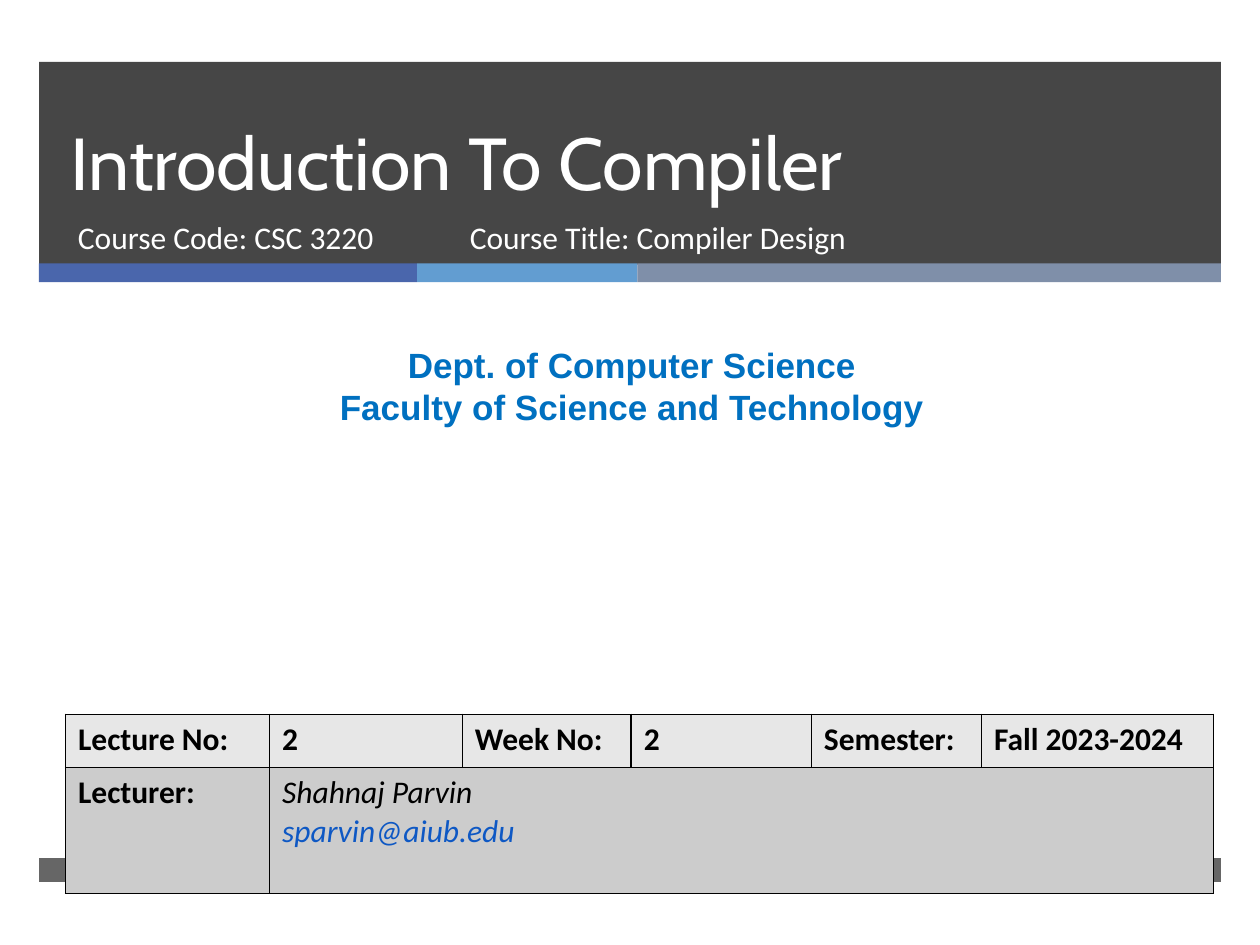
from lxml.etree import SubElement
from pptx import Presentation
from pptx.dml.color import RGBColor
from pptx.enum.shapes import MSO_SHAPE as Shape
from pptx.enum.text import MSO_ANCHOR as Anchor, MSO_AUTO_SIZE as AutoSize, PP_ALIGN as Align
from pptx.oxml.ns import qn
from pptx.util import Inches, Pt

WHITE = RGBColor(0xFF, 0xFF, 0xFF)
BLACK = RGBColor(0, 0, 0)
CHARCOAL = RGBColor(0x26, 0x26, 0x26)
INDIGO = RGBColor(0x4A, 0x66, 0xAC)
SKY = RGBColor(0x62, 0x9D, 0xD1)
SLATE = RGBColor(0x7F, 0x8F, 0xA9)
HEADING_BLUE = RGBColor(0x00, 0x70, 0xC0)
LINK_BLUE = RGBColor(0x0E, 0x58, 0xC4)
LIGHT_GREY = RGBColor(0xE7, 0xE7, 0xE7)
MID_GREY = RGBColor(0xCC, 0xCC, 0xCC)

TITLE = "Introduction To Compiler"
COURSE_CODE = "Course Code: CSC 3220"
COURSE_TITLE = "Course Title: Compiler Design"
DEPARTMENT = ["Dept. of Computer Science", "Faculty of Science and Technology"]
LECTURE_ROW = ["Lecture No:", "2", "Week No:", "2", "Semester:", "Fall 2023-2024"]
LECTURER_LABEL = "Lecturer:"
LECTURER, EMAIL = "Shahnaj Parvin", "sparvin@aiub.edu"

BAND_LEFT, BAND_WIDTH = 0.31, 9.38
STRIPES = [(3, INDIGO), (1.75, SKY), (4.63, SLATE)]
COLUMN_WIDTHS = [1.62, 1.53, 1.34, 1.43, 1.35, 1.84]
ROW_HEIGHTS = [0.42, 1]


def write(frame, lines, *, size=18, font="Calibri", color=WHITE, bold=False,
          italic=False, align=Align.LEFT):
    """Fill the frame with one paragraph per line, all in one format."""
    for index, line in enumerate(lines):
        paragraph = frame.add_paragraph() if index else frame.paragraphs[0]
        paragraph.alignment = align
        run = paragraph.add_run()
        run.text = line
        run.font.size = Pt(size)
        run.font.name = font
        run.font.bold = bold
        run.font.italic = italic
        run.font.color.rgb = color


def add_bar(slide, left, top, width, height, color, opacity=100):
    bar = slide.shapes.add_shape(Shape.RECTANGLE, *map(Inches, (left, top, width, height)))
    bar.shadow.inherit = False
    bar.line.fill.background()
    bar.fill.solid()
    bar.fill.fore_color.rgb = color
    if opacity < 100:
        color_element = bar.fill._xPr.find(f"{qn('a:solidFill')}/{qn('a:srgbClr')}")
        SubElement(color_element, qn("a:alpha"), val=str(opacity * 1000))


def add_text(slide, left, top, width, height, lines, **text_format):
    box = slide.shapes.add_textbox(*map(Inches, (left, top, width, height)))
    box.text_frame.word_wrap = True
    write(box.text_frame, lines, **text_format)


def style_cell(cell, fill):
    """Give the cell thin black borders and a plain fill."""
    properties = cell._tc.get_or_add_tcPr()
    for side in ("lnL", "lnR", "lnT", "lnB"):
        line = SubElement(properties, qn(f"a:{side}"), w=str(Pt(1)))
        SubElement(SubElement(line, qn("a:solidFill")), qn("a:srgbClr"), val=str(BLACK))
    cell.fill.solid()
    cell.fill.fore_color.rgb = fill


def add_title(slide):
    title = slide.shapes.title
    slide.shapes._spTree.append(title._element)  # in front of the header band
    title.left, title.top, title.width, title.height = map(Inches, (0.46, 0.49, 8.54, 1.19))
    frame = title.text_frame
    frame.auto_size = AutoSize.NONE
    frame.vertical_anchor = Anchor.BOTTOM
    write(frame, [TITLE], size=42, font="Cabin")
    frame.paragraphs[0].line_spacing = Pt(46)


def add_lecture_table(slide):
    table = slide.shapes.add_table(
        len(ROW_HEIGHTS), len(COLUMN_WIDTHS), Inches(0.52), Inches(5.67),
        Inches(sum(COLUMN_WIDTHS)), Inches(sum(ROW_HEIGHTS))).table
    for column, width in zip(table.columns, COLUMN_WIDTHS):
        column.width = Inches(width)
    for row, height, fill in zip(table.rows, ROW_HEIGHTS, (LIGHT_GREY, MID_GREY)):
        row.height = Inches(height)
        for cell in row.cells:
            style_cell(cell, fill)
    for index, text in enumerate(LECTURE_ROW):
        write(table.cell(0, index).text_frame, [text], color=BLACK, bold=True)
    write(table.cell(1, 0).text_frame, [LECTURER_LABEL], color=BLACK, bold=True)
    details = table.cell(1, 1)
    details.merge(table.cell(1, len(COLUMN_WIDTHS) - 1))
    write(details.text_frame, [LECTURER, EMAIL], color=BLACK, italic=True)
    details.text_frame.paragraphs[1].runs[0].font.color.rgb = LINK_BLUE


def main():
    presentation = Presentation()
    presentation.slide_width, presentation.slide_height = Inches(10), Inches(7.5)
    slide = presentation.slides.add_slide(presentation.slide_layouts[5])

    add_bar(slide, BAND_LEFT, 0.49, BAND_WIDTH, 1.61, CHARCOAL, opacity=85)
    left = BAND_LEFT
    for width, color in STRIPES:
        add_bar(slide, left, 2.09, width, 0.15, color)
        left += width
    add_bar(slide, BAND_LEFT, 6.81, BAND_WIDTH, 0.19, CHARCOAL, opacity=70)

    add_title(slide)
    add_text(slide, 0.52, 1.68, 3.05, 0.53, [COURSE_CODE])
    add_text(slide, 0.08, 2.68, 9.87, 0.77, DEPARTMENT, size=20, font="Arial",
             color=HEADING_BLUE, bold=True, align=Align.CENTER)
    add_lecture_table(slide)
    add_text(slide, 3.63, 1.68, 4.55, 0.53, [COURSE_TITLE])
    presentation.save("out.pptx")


if __name__ == "__main__":
    main()
